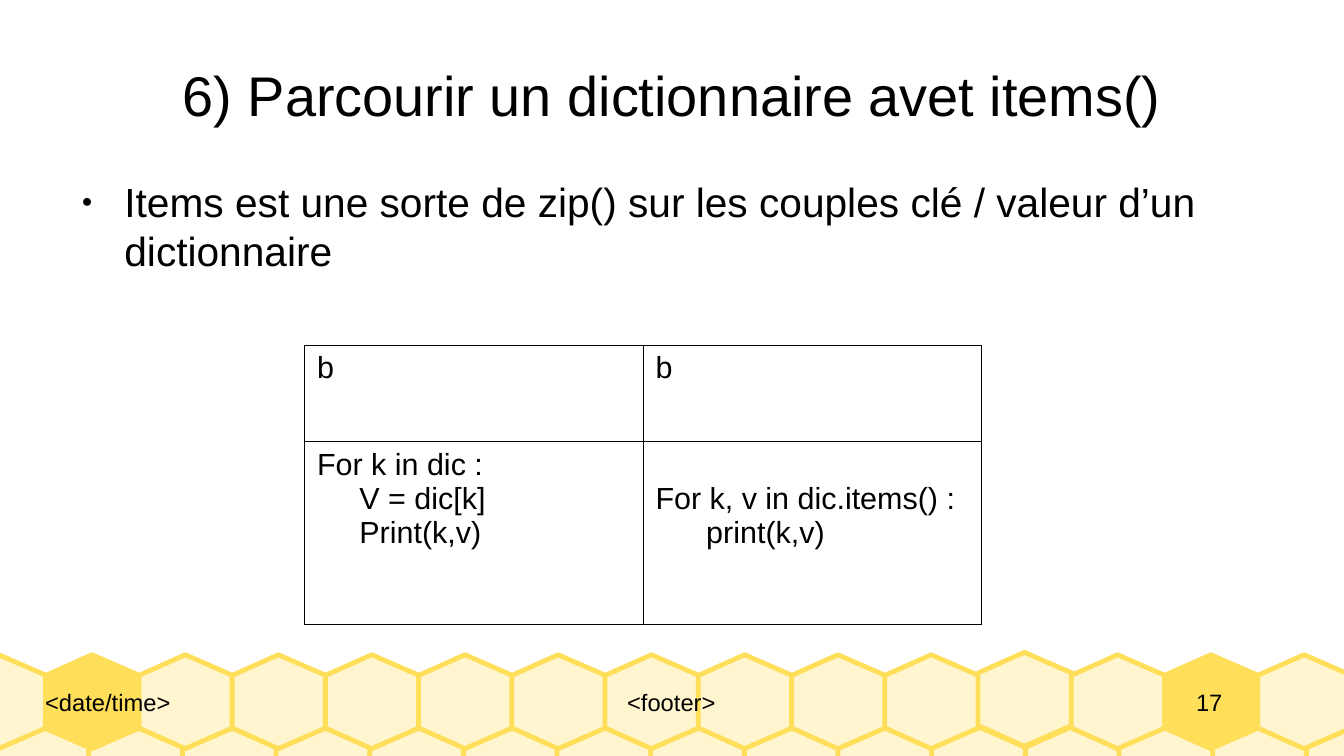
from lxml import etree
from pptx import Presentation
from pptx.dml.color import RGBColor
from pptx.enum.text import MSO_ANCHOR as Anchor, PP_ALIGN as Align
from pptx.oxml import parse_xml
from pptx.oxml.ns import nsdecls, qn
from pptx.util import Inches, Pt

COLORS = {"text": "000000", "pale": "FFF5CE", "honey": "FFDE59"}
HEX_SIDE = 0.77
# Corners of a cell, clockwise from the top, relative to its top left
HEX_CORNERS = [(0.38, 0), (0.77, 0.17), (0.77, 0.6), (0.38, 0.77), (0, 0.6), (0, 0.17)]
CELLS_PER_ROW = 15
HIGHLIGHTED_CELLS = (1, 13)
RAISED_CELL = 11
BAND_TOP = 5.37

CODE_ROWS = [
    ["b", "b"],
    ["For k in dic :\n     V = dic[k]\n     Print(k,v)",
     "For k, v in dic.items() :\n      print(k,v)"],
]


class Deck:
    def __init__(self, width, height, font):
        self.font = font
        self.presentation = Presentation()
        self.presentation.slide_width = Inches(width)
        self.presentation.slide_height = Inches(height)
        self.slide = self.presentation.slides.add_slide(self.presentation.slide_layouts[6])

    def color(self, name):
        return RGBColor.from_string(COLORS[name])

    def fill_text(self, frame, text, size, align=Align.LEFT):
        frame.text = text
        for paragraph in frame.paragraphs:
            paragraph.alignment = align
            for run in paragraph.runs:
                run.font.name = self.font
                run.font.size = Pt(size)
                run.font.color.rgb = self.color("text")

    def text(self, text, box, size, align=Align.LEFT, anchor=Anchor.MIDDLE):
        frame = self.slide.shapes.add_textbox(*map(Inches, box)).text_frame
        frame.word_wrap = True
        frame.vertical_anchor = anchor
        frame.margin_left = frame.margin_right = 0
        frame.margin_top = frame.margin_bottom = 0
        self.fill_text(frame, text, size, align)
        return frame

    def bullet(self, text, box, size):
        frame = self.text(text, box, size, anchor=Anchor.TOP)
        paragraph = frame.paragraphs[0]
        paragraph.space_after = Pt(10.6)
        props = paragraph._p.get_or_add_pPr()
        props.set("marL", str(Inches(0.47)))
        props.set("indent", str(Inches(-0.35)))
        color = etree.SubElement(props, qn("a:buClr"))
        etree.SubElement(color, qn("a:srgbClr"), val=COLORS["text"])
        etree.SubElement(props, qn("a:buSzPct"), val="45000")
        etree.SubElement(props, qn("a:buFont"), typeface=self.font)
        etree.SubElement(props, qn("a:buChar"), char="●")

    def hexagon(self, left, top, fill):
        corners = [(Inches(left + x), Inches(top + y)) for x, y in HEX_CORNERS]
        builder = self.slide.shapes.build_freeform(*corners[0])
        builder.add_line_segments(corners[1:], close=True)
        cell = builder.convert_to_shape()
        cell.shadow.inherit = False
        cell.fill.solid()
        cell.fill.fore_color.rgb = self.color(fill)
        cell.line.color.rgb = self.color("honey")
        cell.line.width = Pt(2.83)

    def border(self, cell):
        """Draw a thin line on the four sides of a table cell."""
        props = cell._tc.get_or_add_tcPr()
        for side in ("lnL", "lnR", "lnT", "lnB"):
            props.append(parse_xml(
                f'<a:{side} {nsdecls("a")} w="{Pt(0.57)}"><a:solidFill>'
                f'<a:srgbClr val="{COLORS["text"]}"/></a:solidFill></a:{side}>'))

    def table(self, rows, box, heights, size):
        table = self.slide.shapes.add_table(
            len(rows), len(rows[0]), *map(Inches, box)).table
        table.first_row = table.horz_banding = False
        for row, height, texts in zip(table.rows, heights, rows):
            row.height = Inches(height)
            for cell, text in zip(row.cells, texts):
                self.border(cell)
                cell.fill.background()
                self.fill_text(cell.text_frame, text, size)
        return table


def honeycomb(deck):
    for i in range(CELLS_PER_ROW):
        deck.hexagon(-0.04 + i * 0.768, 5.96, "pale")
    for i in range(CELLS_PER_ROW):
        top = BAND_TOP - 0.02 if i == RAISED_CELL else BAND_TOP
        fill = "honey" if i in HIGHLIGHTED_CELLS else "pale"
        deck.hexagon(-0.39 + i * 0.7645, top, fill)


def main():
    deck = Deck(11.02, 6.2, "Arial")
    honeycomb(deck)
    for label, left, width, align in [("<date/time>", 0.37, 2.63, Align.LEFT),
                                      ("<footer>", 3, 5.01, Align.CENTER),
                                      ("17", 9.29, 1.25, Align.CENTER)]:
        deck.text(label, (left, BAND_TOP, width, HEX_SIDE), 14, align)
    deck.text("6) Parcourir un dictionnaire avet items()",
              (0.55, 0.25, 9.92, 1.04), 33, Align.CENTER)
    deck.bullet("Items est une sorte de zip() sur les couples clé / valeur d’un dictionnaire",
                (0.55, 1.45, 9.92, 3.6), 24)
    code = deck.table(CODE_ROWS, (2.5, 2.83, 5.55, 2.29), (0.79, 1.5), 18)
    # The items() loop starts one line lower than its neighbour
    code.cell(1, 1).margin_top = Inches(0.33)
    deck.presentation.save("out.pptx")


if __name__ == "__main__":
    main()
